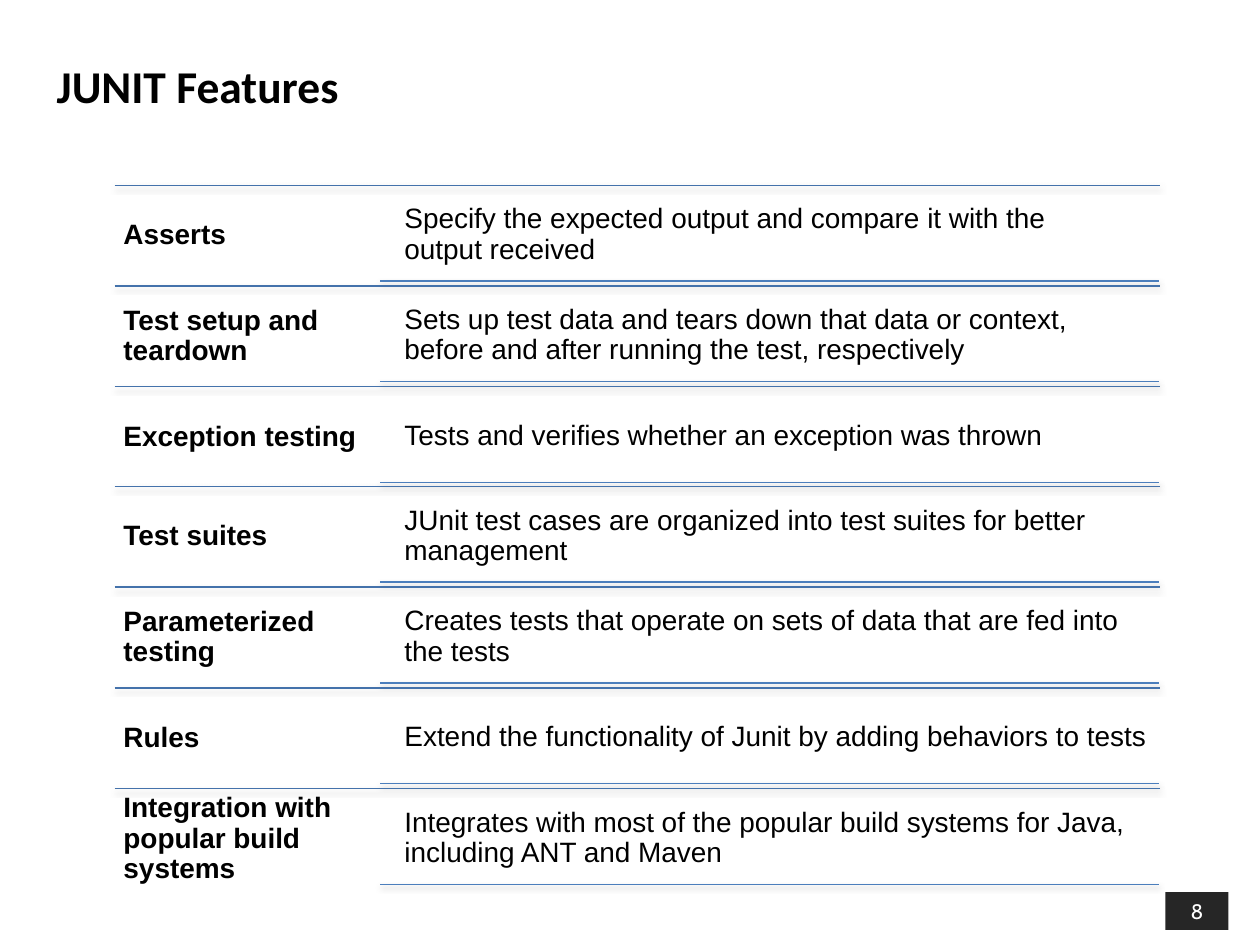
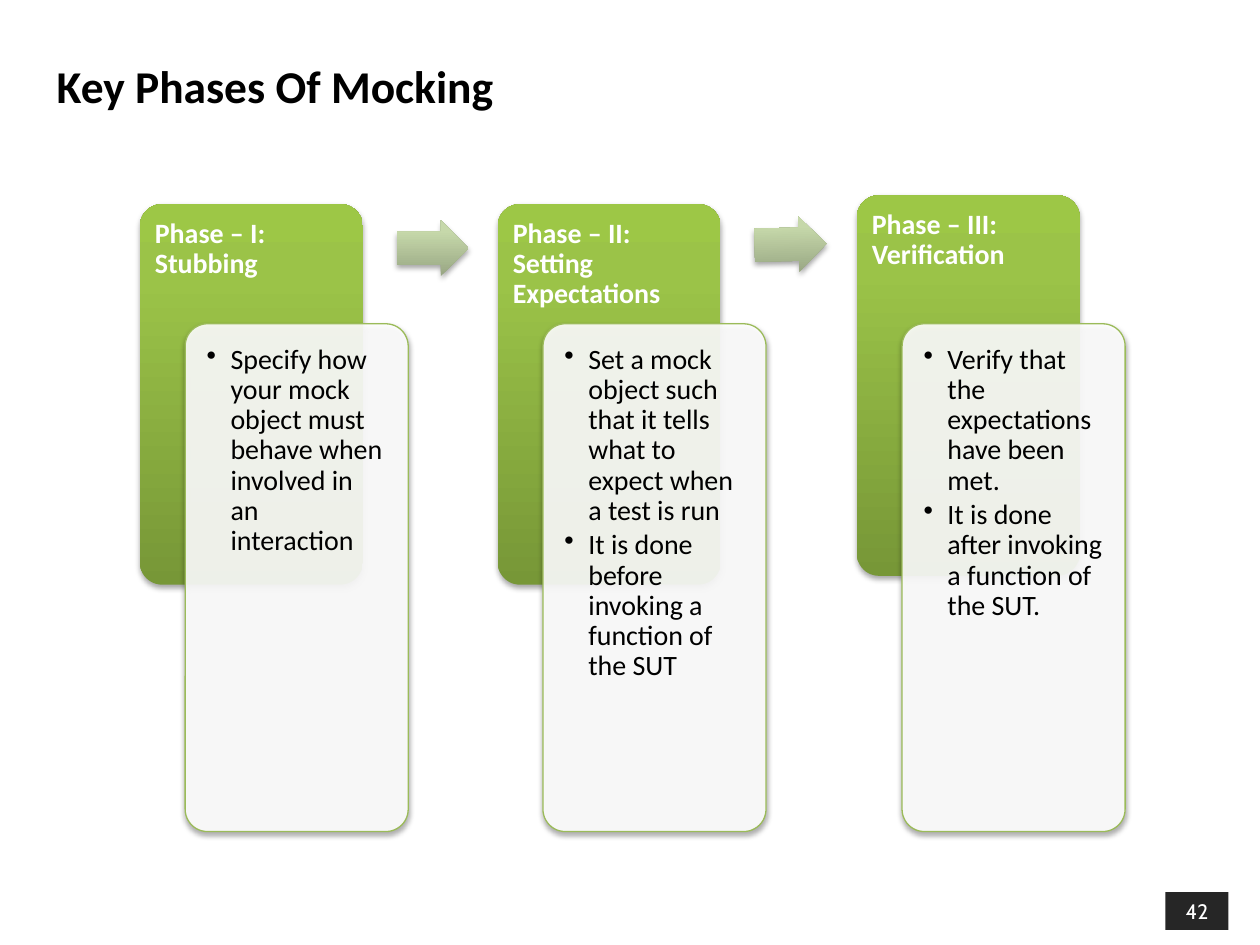
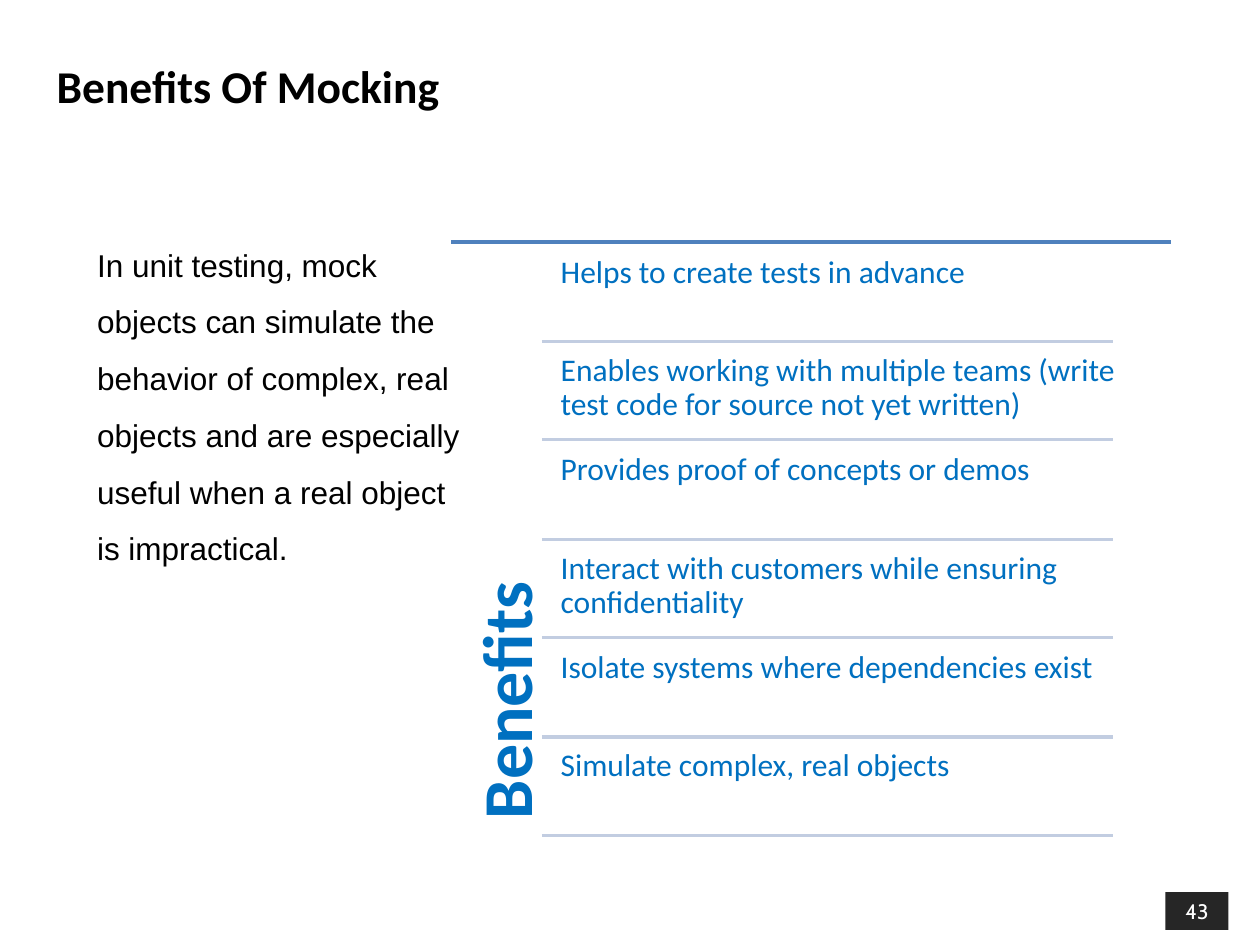
"""Build three slides on unit testing and mocking."""
from copy import deepcopy
from dataclasses import dataclass, field

from lxml import etree
from pptx import Presentation
from pptx.dml.color import RGBColor
from pptx.enum import shapes, text
from pptx.oxml.ns import qn
from pptx.util import Emu, Pt

EMU_PER_PX = 9144


def px(length):
    return Emu(length * EMU_PER_PX)


def rgb(code):
    return RGBColor.from_string(code)


@dataclass(frozen=True)
class Type:
    font: str
    size: int
    color: str
    bold: bool = False
    spacing: float = 0.9
    after: float = 0.35


@dataclass(frozen=True)
class Theme:
    title: Type = Type("Calibri", 26, "000000", True, 1.0, 0)
    badge: Type = Type("Cabin", 12, "FFFFFF", False, 1.0, 0)
    feature: Type = Type("Arial", 16, "000000", True)
    detail: Type = Type("Arial", 16, "000000")
    phase: Type = Type("Calibri", 16, "FFFFFF", True)
    point: Type = Type("Calibri", 16, "000000", after=0.15)
    heading: Type = Type("Calibri", 40, "0070C0", True)
    benefit: Type = Type("Calibri", 18, "0070C0")
    intro: Type = Type("Arial", 18, "000000", spacing=1.5, after=0)
    badge_fill: str = "262626"
    row_line: str = "4472AB"
    detail_line: str = "4B7EBC"
    head_line: str = "4F81BD"
    benefit_line: str = "C2CDE1"
    card_fill: str = "FFFFFF"
    card_line: str = "9BBB59"
    tile_stops: tuple = ((0, "779737"), (0.8, "9BC348"), (1, "9DC746"))
    arrow_stops: tuple = ((0, "98A683"), (0.8, "C6D8AA"), (1, "C7DAAA"))
    line_shadow: dict = field(default_factory=lambda: {"dist": 20000, "alpha": 38000})
    shape_shadow: dict = field(default_factory=lambda: {"dist": 23000, "alpha": 35000})


class Deck:
    """Holds the theme and the current slide, and draws each kind of element."""

    def __init__(self, theme):
        self.theme = theme
        self.show = Presentation()
        self.show.slide_width, self.show.slide_height = px(1000), px(750)
        self.page = None

    def new_page(self, title, number, layout="Title Only"):
        self.page = self.show.slides.add_slide(self.show.slide_layouts.get_by_name(layout))
        self.place(self.page.shapes.title, (35, 5, 850, 125), title, self.theme.title,
                   anchor=text.MSO_ANCHOR.MIDDLE)
        badge = self.shape(shapes.MSO_SHAPE.RECTANGLE, (925, 708, 50, 30), self.theme.badge_fill)
        self.set_text(badge.text_frame, [number], self.theme.badge, text.PP_ALIGN.CENTER)

    def place(self, holder, area, words, style, anchor=text.MSO_ANCHOR.TOP):
        holder.left, holder.top, holder.width, holder.height = map(px, area)
        frame = holder.text_frame
        frame.auto_size, frame.vertical_anchor = text.MSO_AUTO_SIZE.NONE, anchor
        self.set_text(frame, [words], style)

    def set_text(self, frame, lines, style, align=text.PP_ALIGN.LEFT, bullets=False):
        frame.text = "\n".join(lines)
        for para in frame.paragraphs:
            para.alignment, para.line_spacing = align, style.spacing
            para.space_before, para.space_after = Pt(0), Pt(style.size * style.after)
            hang = px(19 if bullets else 0)
            props = para._p.get_or_add_pPr()
            props.set("marL", str(hang))
            props.set("indent", str(-hang))
            if bullets:
                etree.SubElement(props, qn("a:buChar"), char="•")
            else:
                etree.SubElement(props, qn("a:buNone"))
            for span in para.runs:
                font = span.font
                font.name, font.size, font.bold = style.font, Pt(style.size), style.bold
                font.color.rgb = rgb(style.color)

    def text_box(self, area, lines, style, inset=(7, 7, 7, 7), anchor=text.MSO_ANCHOR.TOP,
                 bullets=False, upward=False):
        frame = self.page.shapes.add_textbox(*map(px, area)).text_frame
        frame.word_wrap, frame.vertical_anchor = True, anchor
        frame.margin_left, frame.margin_top, frame.margin_right, frame.margin_bottom = map(px, inset)
        if upward:
            frame._txBody.bodyPr.set("vert", "vert270")
        self.set_text(frame, lines, style, bullets=bullets)

    def effects(self, item, shadow=None):
        effects = etree.SubElement(item.element.spPr, qn("a:effectLst"))
        if shadow:
            outer = etree.SubElement(effects, qn("a:outerShdw"), blurRad="40000",
                                     dist=str(shadow["dist"]), dir="5400000", rotWithShape="0")
            color = etree.SubElement(outer, qn("a:srgbClr"), val="000000")
            etree.SubElement(color, qn("a:alpha"), val=str(shadow["alpha"]))

    def line(self, left, right, top, color, width, shadow=None):
        rule = self.page.shapes.add_connector(
            shapes.MSO_CONNECTOR.STRAIGHT, px(left), px(top), px(right), px(top))
        rule.line.color.rgb, rule.line.width = rgb(color), Pt(width)
        self.effects(rule, shadow)

    def shape(self, kind, area, fill, outline=None, adjust=(), opacity=None, shadow=None):
        box = self.page.shapes.add_shape(kind, *map(px, area))
        for index, value in enumerate(adjust):
            box.adjustments[index] = value
        if isinstance(fill, str):
            box.fill.solid()
            box.fill.fore_color.rgb = rgb(fill)
        else:
            self.gradient(box, fill)
        if opacity:
            color = box.element.spPr.find(".//" + qn("a:srgbClr"))
            etree.SubElement(color, qn("a:alpha"), val=str(opacity * 1000))
        if outline:
            box.line.color.rgb, box.line.width = rgb(outline), Pt(0.75)
        else:
            box.line.fill.background()
        self.effects(box, shadow)
        return box

    def gradient(self, box, colors):
        box.fill.gradient()
        box.fill.gradient_angle = 90
        stops = box.element.spPr.find(".//" + qn("a:gsLst"))
        stops.append(deepcopy(stops[-1]))
        for stop, (position, color) in zip(box.fill.gradient_stops, colors):
            stop.position, stop.color.rgb = position, rgb(color)


FEATURES = [
    ("Asserts", "Specify the expected output and compare it with the\voutput received"),
    ("Test setup and teardown", "Sets up test data and tears down that data or context, "
     "before and after running the test, respectively"),
    ("Exception testing", "Tests and verifies whether an exception was thrown"),
    ("Test suites", "JUnit test cases are organized into test suites for better management"),
    ("Parameterized testing",
     "Creates tests that operate on sets of data that are fed into the tests"),
    ("Rules", "Extend the functionality of Junit by adding behaviors to tests"),
    ("Integration with popular build systems",
     "Integrates with most of the popular build systems for Java, including ANT and Maven"),
]

PHASES = [
    (162, "Phase – I: Stubbing",
     ["Specify how your mock object must behave when involved in an interaction"]),
    (162, "Phase – II: Setting Expectations",
     ["Set a mock object such that it tells what to expect when a test is run",
      "It is done before invoking a function of the SUT"]),
    (155, "Phase – III: Verification",
     ["Verify that the expectations have been met.",
      "It is done after invoking a function of the SUT."]),
]
ARROWS = [(175, 0), (172, 358.7)]

BENEFITS = [
    ("Helps to create tests in advance", 445),
    ("Enables working with multiple teams (write test code for source not yet written)", 487),
    ("Provides proof of concepts or demos", 445),
    ("Interact with customers while ensuring confidentiality", 489),
    ("Isolate systems where dependencies exist", 491),
    ("Simulate complex, real objects", 445),
]


def features_page(deck):
    theme, middle = deck.theme, text.MSO_ANCHOR.MIDDLE
    deck.new_page("JUNIT Features", "8")
    for row, (feature, detail) in enumerate(FEATURES):
        top = 147 + round(row * 79.8)
        deck.line(91, 921, top, theme.row_line, 0.75, theme.line_shadow)
        deck.text_box((91, top, 212, 80), [feature], theme.feature, anchor=middle)
        deck.text_box((314, top + 3, 606, 73), [detail], theme.detail, anchor=middle)
        deck.line(302, 920, top + 76, theme.detail_line, 0.75, theme.line_shadow)


def phases_page(deck):
    theme, kinds = deck.theme, shapes.MSO_SHAPE
    deck.new_page("Key Phases Of Mocking", "42")
    lefts = [111 + round(column * 284.4) for column in range(len(PHASES))]
    for left, (top, phase, points) in zip(lefts, PHASES):
        deck.shape(kinds.ROUNDED_RECTANGLE, (left, top, 177, 302), theme.tile_stops,
                   adjust=[0.1], shadow=theme.shape_shadow)
        deck.text_box((left, top, 177, 71), [phase], theme.phase, inset=(12, 12, 12, 7))
        deck.shape(kinds.ROUNDED_RECTANGLE, (left + 36, 257, 177, 403), theme.card_fill,
                   theme.card_line, [0.1], 90, theme.shape_shadow)
        deck.text_box((left + 41, 262, 167, 393), points, theme.point,
                      inset=(12, 12, 12, 12), bullets=True)
    for left, (top, angle) in zip(lefts, ARROWS):
        arrow = deck.shape(kinds.RIGHT_ARROW, (left + 204, top, 57, 44), theme.arrow_stops,
                           adjust=[0.6, 0.5], shadow=theme.shape_shadow)
        arrow.rotation = angle


def benefits_page(deck):
    theme = deck.theme
    deck.new_page("Benefits Of Mocking", "43", "Title and Content")
    deck.place(deck.page.placeholders[1], (67, 175, 308, 308),
               "In unit testing, mock objects can simulate the behavior of complex, real objects "
               "and are especially useful when a real object is impractical.", theme.intro)
    deck.line(358, 929, 192, theme.head_line, 2)
    deck.text_box((358, 192, 71, 475), ["Benefits"], theme.heading,
                  inset=(17, 17, 17, 17), upward=True)
    for row, (benefit, width) in enumerate(BENEFITS):
        top = 196 + round(row * 78.4)
        deck.text_box((438, top, width, 75), [benefit], theme.benefit)
        deck.line(430, 883, top + 75, theme.benefit_line, 2)


def main():
    deck = Deck(Theme())
    features_page(deck)
    phases_page(deck)
    benefits_page(deck)
    deck.show.save("out.pptx")


if __name__ == "__main__":
    main()
